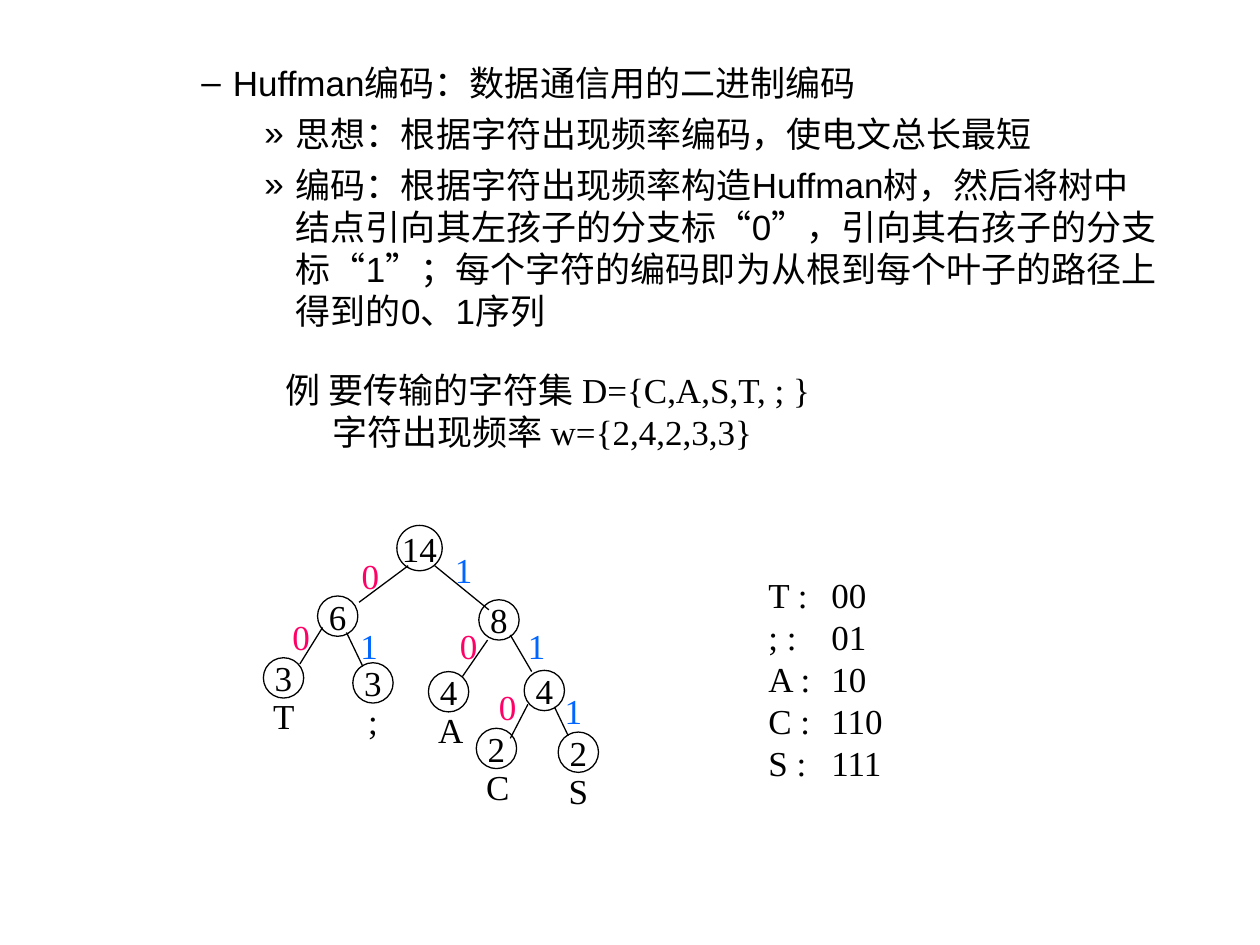
import pptx
import pptx.util
import pptx.dml.color
import pptx.enum.shapes
import pptx.enum.text
import pptx.oxml.ns
from lxml import etree

Inches = pptx.util.Inches
Pt = pptx.util.Pt
ALIGN = pptx.enum.text.PP_ALIGN

COLORS = {"ink": "000000", "0": "FF0066", "1": "0066FF"}
SIZE = 20
SERIF, SANS = "Times New Roman", "Arial"

OUTLINE = [
    (3, "–", 1.75, "Huffman编码：数据通信用的二进制编码"),
    (4, "»", 2.25, "思想：根据字符出现频率编码，使电文总长最短"),
    (4, "»", 2.25, "编码：根据字符出现频率构造Huffman树，然后将树中结点引向其左孩子的分支标“0”，"
                   "引向其右孩子的分支标“1”；每个字符的编码即为从根到每个叶子的路径上得到的0、1序列"),
]
EXAMPLE = [
    (0, "例 要传输的字符集 D={C,A,S,T, ; }"),
    (0.37, "字符出现频率 w={2,4,2,3,3}"),
]
CODES = [("T", "00"), (";", "01"), ("A", "10"), ("C", "110"), ("S", "111")]

NODES = [
    ("14", 3.33, 4.35, ""),
    ("6", 2.68, 4.89, ""),
    ("8", 3.96, 4.92, ""),
    ("3", 2.25, 5.38, "T"),
    ("3", 2.96, 5.42, ";"),
    ("4", 3.56, 5.49, "A"),
    ("4", 4.32, 5.48, ""),
    ("2", 3.94, 5.94, "C"),
    ("2", 4.59, 5.97, "S"),
]
BRANCHES = [
    ("0", (3.24, 4.49), (2.85, 4.78), (2.94, 4.57)),
    ("1", (3.45, 4.49), (3.88, 4.84), (3.68, 4.52)),
    ("0", (2.56, 4.98), (2.38, 5.27), (2.39, 5.05)),
    ("1", (2.75, 5.02), (2.88, 5.29), (2.93, 5.12)),
    ("0", (3.87, 5.08), (3.67, 5.37), (3.72, 5.12)),
    ("1", (4.05, 5.04), (4.22, 5.33), (4.26, 5.12)),
    ("0", (4.19, 5.59), (4.05, 5.86), (4.03, 5.61)),
    ("1", (4.40, 5.61), (4.51, 5.84), (4.55, 5.64)),
]
NODE_SIZE, ROOT_SIZE = 0.32, 0.36
LABEL_WIDTH, LABEL_HEIGHT, LABEL_DROP = 0.36, 0.44, 0.3
CODE_STOP = 0.56


def rgb(name):
    return pptx.dml.color.RGBColor.from_string(COLORS[name])


def add_child(parent, tag, **attributes):
    child = etree.SubElement(parent, pptx.oxml.ns.qn(tag))
    for key, value in attributes.items():
        child.set(key, str(value))
    return child


def indent(paragraph, margin, hanging=0):
    properties = paragraph._p.get_or_add_pPr()
    properties.set("marL", str(Inches(margin)))
    properties.set("indent", str(Inches(hanging)))
    return properties


def add_bullet(properties, mark):
    add_child(add_child(properties, "a:buClr"), "a:srgbClr", val=COLORS["ink"])
    add_child(properties, "a:buFont", typeface=SANS)
    add_child(properties, "a:buChar", char=mark)


def style(paragraph, font=SERIF, color="ink"):
    for run in paragraph.runs:
        run.font.size = Pt(SIZE)
        run.font.name = font
        run.font.color.rgb = rgb(color)


def add_lines(shapes, box, lines, anchor):
    frame = shapes.add_textbox(*map(Inches, box)).text_frame
    frame.word_wrap = True
    frame.vertical_anchor = anchor
    frame.text = "\n".join(lines)
    return frame.paragraphs


def center_text(shape, text, color="ink"):
    frame = shape.text_frame
    frame.word_wrap = False
    frame.vertical_anchor = pptx.enum.text.MSO_ANCHOR.MIDDLE
    frame.text = text
    frame.paragraphs[0].alignment = ALIGN.CENTER
    style(frame.paragraphs[0], color=color)


def centered_box(x, y, width, height):
    return [Inches(v) for v in (x - width / 2, y - height / 2, width, height)]


def add_label(shapes, text, x, y, color="ink"):
    label = shapes.add_textbox(*centered_box(x, y, LABEL_WIDTH, LABEL_HEIGHT))
    center_text(label, text, color)


def add_node(shapes, weight, x, y):
    size = ROOT_SIZE if len(weight) > 1 else NODE_SIZE
    node = shapes.add_shape(pptx.enum.shapes.MSO_SHAPE.OVAL, *centered_box(x, y, size, size))
    node.shadow.inherit = False
    node.fill.background()
    node.line.color.rgb = rgb("ink")
    node.line.width = Pt(0.75)
    center_text(node, weight)


def add_branch(shapes, start, end):
    branch = shapes.add_connector(
        pptx.enum.shapes.MSO_CONNECTOR.STRAIGHT, *map(Inches, start + end))
    branch.line.color.rgb = rgb("ink")
    branch.line.width = Pt(0.75)
    add_child(branch._element.spPr, "a:effectLst")


def main():
    deck = pptx.Presentation()
    deck.slide_width, deck.slide_height = Inches(10), Inches(7.5)
    shapes = deck.slides.add_slide(deck.slide_layouts[6]).shapes
    top = pptx.enum.text.MSO_ANCHOR.TOP
    middle = pptx.enum.text.MSO_ANCHOR.MIDDLE

    outline = add_lines(shapes, (0, 0.44, 9.3, 2.14), [row[3] for row in OUTLINE], top)
    for i, (paragraph, (level, mark, margin, _)) in enumerate(zip(outline, OUTLINE)):
        paragraph.level = level
        paragraph.space_before = Pt(5 if i else 0)
        add_bullet(indent(paragraph, margin, -0.25), mark)
        style(paragraph, SANS)

    example = add_lines(shapes, (2.17, 2.87, 4.8, 0.77), [row[1] for row in EXAMPLE], middle)
    for paragraph, (margin, _) in zip(example, EXAMPLE):
        indent(paragraph, margin)
        style(paragraph)

    tree = shapes.add_group_shape().shapes
    for _, start, end, _ in BRANCHES:
        add_branch(tree, start, end)
    for weight, x, y, symbol in NODES:
        add_node(tree, weight, x, y)
        if symbol:
            add_label(tree, symbol, x, y + LABEL_DROP)

    bits = shapes.add_group_shape().shapes
    for bit, _, _, (x, y) in BRANCHES:
        add_label(bits, bit, x, y, bit)

    codes = add_lines(shapes, (6, 4.5, 1.5, 1.77),
                      [f"{symbol} :\t{code}" for symbol, code in CODES], middle)
    for paragraph in codes:
        tab_stops = add_child(indent(paragraph, 0), "a:tabLst")
        add_child(tab_stops, "a:tab", pos=Inches(CODE_STOP), algn="l")
        style(paragraph)

    deck.save("out.pptx")


if __name__ == "__main__":
    main()
